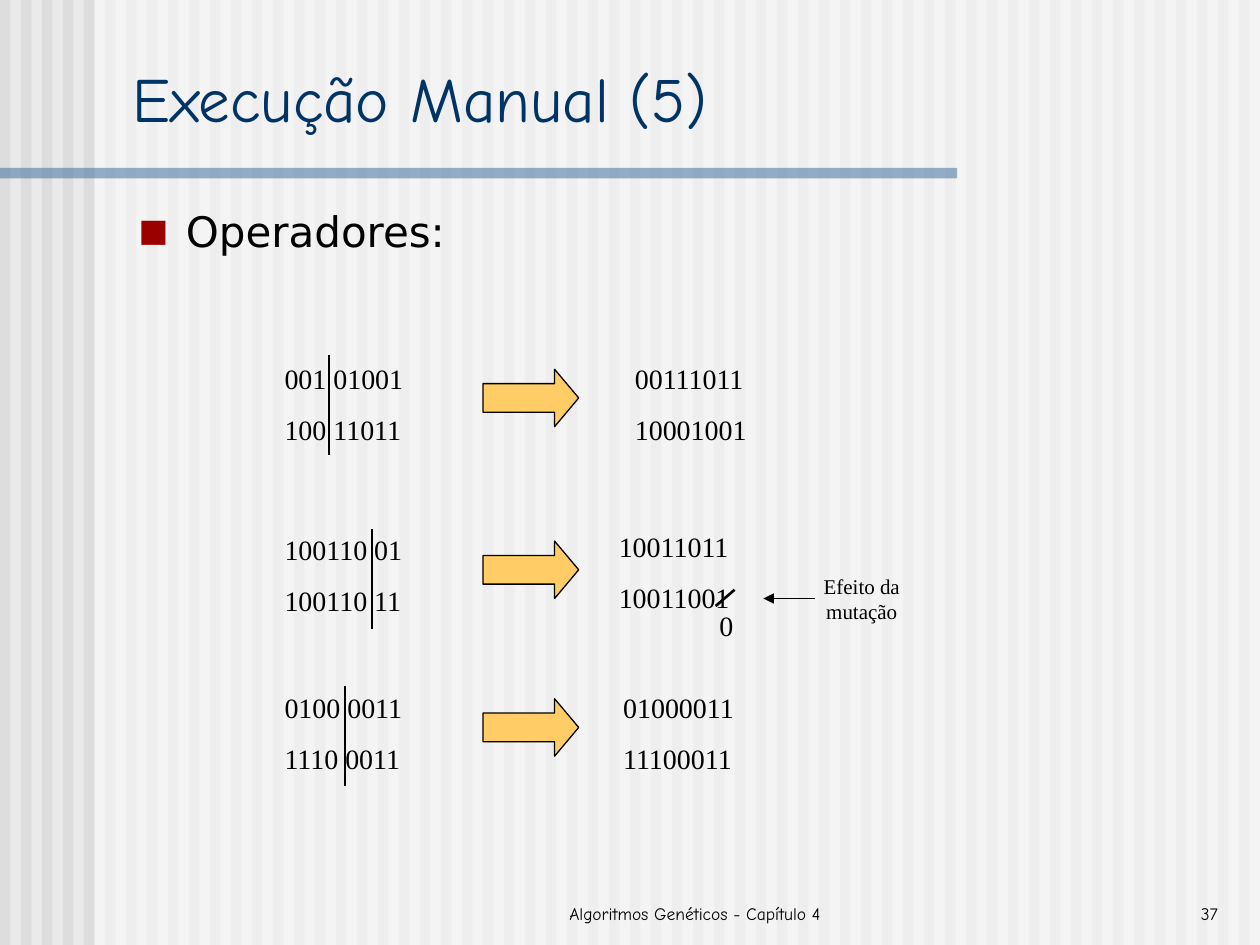
from pptx import Presentation
from pptx.dml.color import RGBColor
from pptx.enum.shapes import MSO_CONNECTOR, MSO_SHAPE
from pptx.enum.text import MSO_ANCHOR, MSO_AUTO_SIZE, PP_ALIGN
from pptx.oxml.ns import qn
from pptx.util import Pt
from lxml import etree

RECT, ARROW = MSO_SHAPE.RECTANGLE, MSO_SHAPE.RIGHT_ARROW
LINE = MSO_CONNECTOR.STRAIGHT
LEFT, MID = PP_ALIGN.LEFT, PP_ALIGN.CENTER
RIGHT, FULL = PP_ALIGN.RIGHT, PP_ALIGN.JUSTIFY
TOP, LOW = MSO_ANCHOR.TOP, MSO_ANCHOR.BOTTOM
SERIF, HAND, SANS = "Times New Roman", "Comic Neue", "DejaVu Sans"

WIDE, HIGH = 720, 540
STRIPE, PITCH = 6, 12
TITLE = "Execução Manual (5)"
BODY = "Operadores:"
FOOT = "Algoritmos Genéticos - Capítulo 4"
PAGE = "37"

# parents with their top, cut line (x, top), arrow top, children with their left and top
CROSSES = [
    (["001 01001", "100 11011"], 203, (188, 203), 211, ["00111011", "10001001"], 355.7, 203),
    (["100110 01", "100110 11"], 301, (212.5, 302.5), 309.2, ["10011011", "10011001"], 346.5, 298.8),
    (["0100 0011", "1110 0011"], 391, (197.2, 392), 399.3, ["01000011", "11100011"], 349, 391),
]
PARENT_X, ARROW_X = 155.5, 276

prs = Presentation()
prs.slide_width, prs.slide_height = Pt(WIDE), Pt(HIGH)
slide = prs.slides.add_slide(prs.slide_layouts[1])
shapes = slide.shapes


def rgb(code):
    return RGBColor.from_string(code)


def place(shape, x, y, w, h):
    shape.left, shape.top, shape.width, shape.height = map(Pt, (x, y, w, h))
    return shape


def write(shape, lines, size=16, font=SERIF, color="000000", align=LEFT,
          anchor=TOP, before=0, wrap=True):
    frame = shape.text_frame
    frame.auto_size = MSO_AUTO_SIZE.NONE
    frame.word_wrap = wrap
    frame.vertical_anchor = anchor
    frame.text = "\n".join(lines)
    for para in frame.paragraphs:
        para.alignment = align
        para.space_before = Pt(before)
        para.font.size, para.font.name = Pt(size), font
        para.font.color.rgb = rgb(color)


def label(lines, x, y, w, h, **style):
    write(shapes.add_textbox(Pt(x), Pt(y), Pt(w), Pt(h)), lines, **style)


def block(kind, x, y, w, h, fill, edge=None, alpha=None):
    shape = shapes.add_shape(kind, Pt(x), Pt(y), Pt(w), Pt(h))
    shape.shadow.inherit = False
    shape.fill.solid()
    shape.fill.fore_color.rgb = rgb(fill)
    if edge:
        shape.line.color.rgb = rgb(edge)
        shape.line.width = Pt(0.75)
    else:
        shape.line.fill.background()
    if alpha:
        tint = shape.element.spPr.find(".//" + qn("a:srgbClr"))
        etree.SubElement(tint, qn("a:alpha"), val=str(alpha * 1000))
    return shape


def stroke(x1, y1, x2, y2, width=1.5, head=False):
    line = shapes.add_connector(LINE, Pt(x1), Pt(y1), Pt(x2), Pt(y2))
    line.line.color.rgb = rgb("000000")
    line.line.width = Pt(width)
    props = line.element.spPr
    if head:
        etree.SubElement(props.find(qn("a:ln")), qn("a:tailEnd"), type="triangle")
    etree.SubElement(props, qn("a:effectLst"))


def bullet(para, mark, color, size, indent):
    props = para._p.get_or_add_pPr()
    props.set("marL", str(Pt(indent)))
    props.set("indent", str(-Pt(indent)))
    tint = etree.SubElement(props, qn("a:buClr"))
    etree.SubElement(tint, qn("a:srgbClr"), val=color)
    etree.SubElement(props, qn("a:buSzPct"), val=str(size * 1000))
    etree.SubElement(props, qn("a:buFont"), typeface=SANS)
    etree.SubElement(props, qn("a:buChar"), char=mark)
    # the default text format closes the paragraph properties
    props.append(props.find(qn("a:defRPr")))


# background
slide.background.fill.solid()
slide.background.fill.fore_color.rgb = rgb("EAEAEA")
for x in range(0, WIDE, PITCH):
    block(RECT, x, 0, STRIPE, HIGH, "DDDDDD")
block(RECT, 54, 0, WIDE - 54, HIGH, "FFFFFF", alpha=50)
block(RECT, 0, 96, 547, 6, "336699", alpha=50)

# title and list, brought in front of the background
title, body = shapes.title, slide.placeholders[1]
for holder in (title, body):
    holder.element.getparent().append(holder.element)
write(place(title, 68.5, 30.3, 643, 50.4), [TITLE], size=36, font=HAND,
      color="003366", anchor=LOW)
write(place(body, 72, 114, 639, 366), [BODY], size=24, font=SANS,
      align=FULL, before=6)
bullet(body.text_frame.paragraphs[0], "■", "9A0000", 75, 27)

# crossovers
for old, old_y, (cut_x, cut_y), arrow_y, new, new_x, new_y in CROSSES:
    label(old, PARENT_X, old_y, 137, 55.4, before=10)
    stroke(cut_x, cut_y, cut_x, cut_y + 57)
    arrow = block(ARROW, ARROW_X, arrow_y, 54.7, 32.8, "FFCC66", edge="000000")
    arrow.adjustments[0], arrow.adjustments[1] = 0.5, 0.42
    label(new, new_x, new_y, 137, 55.4, before=10)

# mutation
stroke(409, 346.3, 419.8, 337)
label(["0"], 404, 344.2, 22.3, 26.6, wrap=False)
stroke(465.8, 342, 436.3, 342, width=0.75, head=True)
label(["Efeito da", "mutação"], 463.7, 324, 57.6, 36, size=12, align=MID, wrap=False)

# footer
label([FOOT], 283, 495.4, 228, 36, size=10, font=HAND, align=MID, anchor=LOW)
label([PAGE], 553, 495.4, 150, 36, size=10, font=HAND, align=RIGHT, anchor=LOW)

prs.save("out.pptx")
